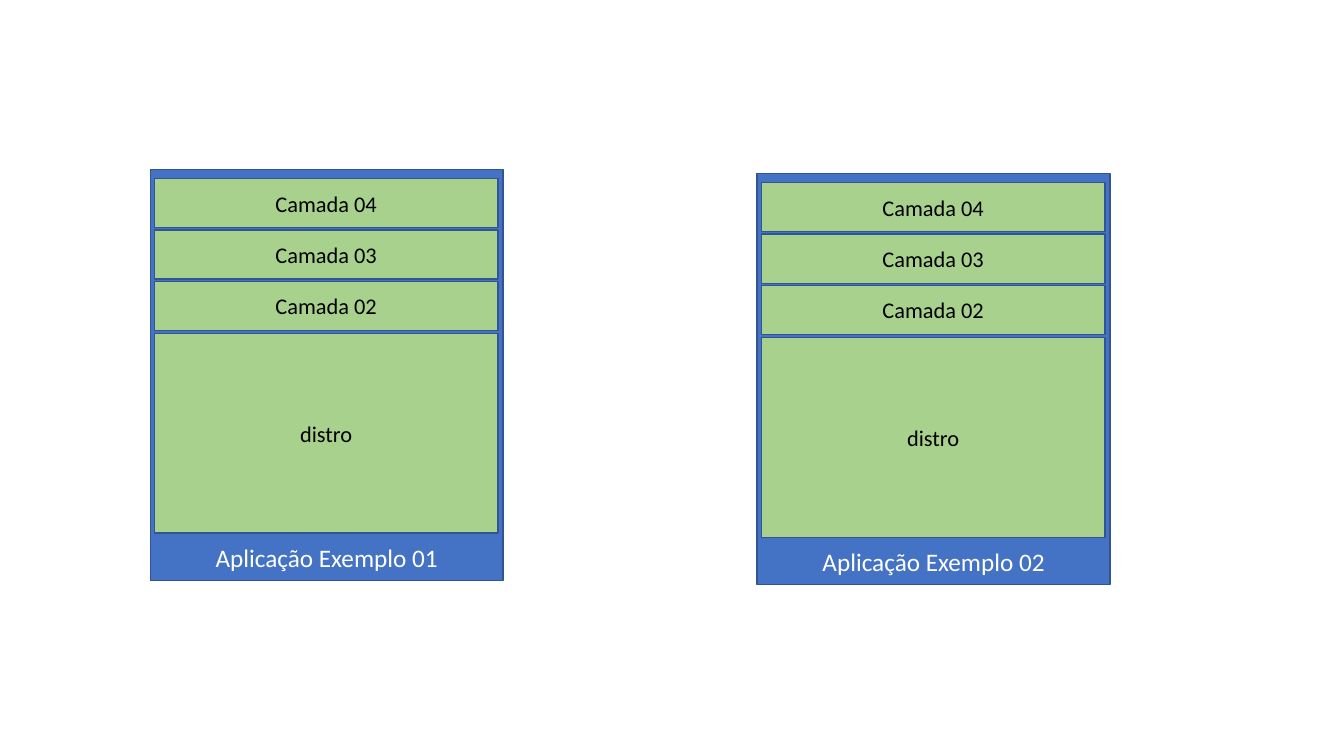
from dataclasses import dataclass

from pptx import Presentation
from pptx.dml.color import RGBColor
from pptx.enum import shapes, text
from pptx.shapes.autoshape import Shape
from pptx.shapes.group import GroupShape
from pptx.util import Inches, Pt

BLUE = "4472C4"
GREEN = "A9D18E"
OUTLINE = "325491"
WHITE = "FFFFFF"
BLACK = "000000"
FONT = "Calibri"

APP_WIDTH, APP_HEIGHT = 3.5, 4.08
LAYER_INSET, LAYER_WIDTH = 0.04, 3.41
CAPTION_OFFSET, CAPTION_HEIGHT = 3.65, 0.4


@dataclass(frozen=True)
class Layer:
    label: str
    offset: float
    height: float


@dataclass(frozen=True)
class Application:
    label: str
    left: float
    top: float


LAYERS = [
    Layer("distro", 1.63, 1.98),
    Layer("Camada 02", 1.11, 0.49),
    Layer("Camada 03", 0.6, 0.49),
    Layer("Camada 04", 0.09, 0.49),
]

APPLICATIONS = [
    Application("Aplicação Exemplo 01", 1.49, 1.68),
    Application("Aplicação Exemplo 02", 7.51, 1.72),
]


def color(value: str) -> RGBColor:
    return RGBColor.from_string(value)


def write_label(shape: Shape, label: str, size: int, ink: str) -> None:
    frame = shape.text_frame
    frame.text = label
    frame.word_wrap = True
    para = frame.paragraphs[0]
    para.alignment = text.PP_ALIGN.CENTER
    font = para.runs[0].font
    font.name = FONT
    font.size = Pt(size)
    font.color.rgb = color(ink)


def add_box(group: GroupShape, left: float, top: float,
            width: float, height: float, fill: str) -> Shape:
    box = group.shapes.add_shape(
        shapes.MSO_SHAPE.RECTANGLE,
        Inches(left), Inches(top), Inches(width), Inches(height))
    box.shadow.inherit = False
    box.fill.solid()
    box.fill.fore_color.rgb = color(fill)
    box.line.color.rgb = color(OUTLINE)
    box.line.width = Pt(1)
    return box


def add_layer(group: GroupShape, app: Application, layer: Layer) -> None:
    box = add_box(group, app.left + LAYER_INSET, app.top + layer.offset,
                  LAYER_WIDTH, layer.height, GREEN)
    write_label(box, layer.label, 16, BLACK)
    box.text_frame.vertical_anchor = text.MSO_ANCHOR.MIDDLE


def add_application(page, app: Application) -> None:
    container = page.shapes.add_group_shape()
    add_box(container, app.left, app.top, APP_WIDTH, APP_HEIGHT, BLUE)
    caption = container.shapes.add_textbox(
        Inches(app.left), Inches(app.top + CAPTION_OFFSET),
        Inches(APP_WIDTH), Inches(CAPTION_HEIGHT))
    write_label(caption, app.label, 18, WHITE)
    caption.text_frame.auto_size = text.MSO_AUTO_SIZE.SHAPE_TO_FIT_TEXT

    stack = page.shapes.add_group_shape()
    for layer in LAYERS:
        add_layer(stack, app, layer)


def main() -> None:
    deck = Presentation()
    deck.slide_width = Inches(13.33)
    deck.slide_height = Inches(7.5)
    page = deck.slides.add_slide(deck.slide_layouts[6])
    for app in APPLICATIONS:
        add_application(page, app)
    deck.save("out.pptx")


if __name__ == "__main__":
    main()
